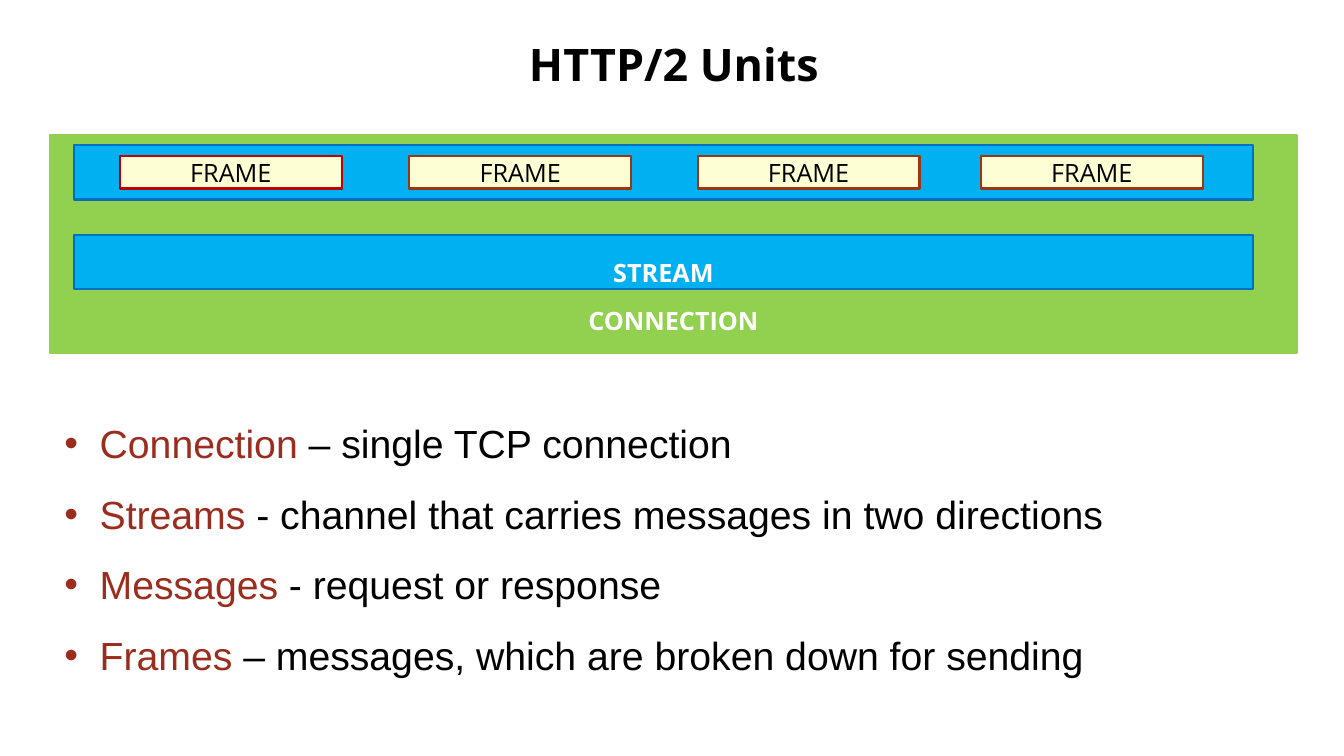
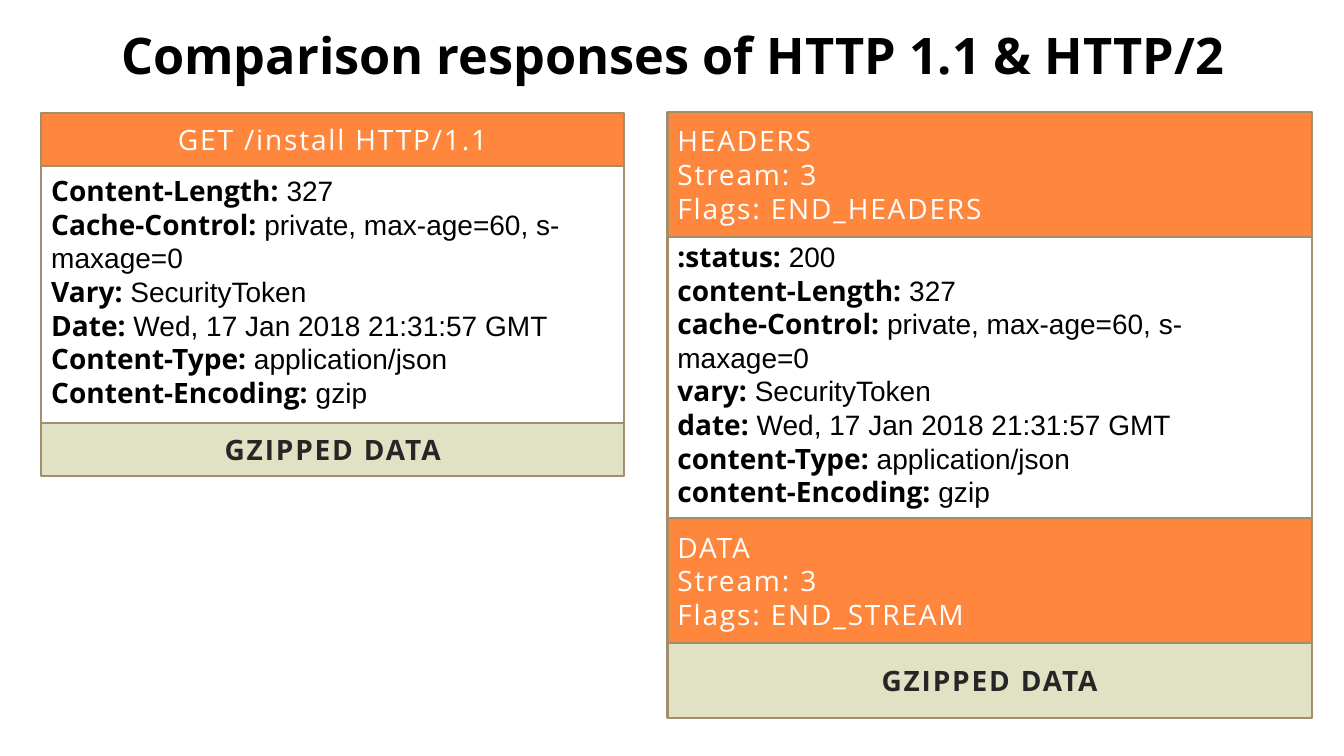
from dataclasses import dataclass

from lxml.etree import SubElement
from pptx import Presentation
from pptx.dml.color import RGBColor
from pptx.enum.shapes import MSO_SHAPE as Preset
from pptx.enum.text import MSO_ANCHOR as Anchor, MSO_AUTO_SIZE as AutoSize, PP_ALIGN as Align
from pptx.oxml.ns import qn
from pptx.util import Emu, Pt


@dataclass(frozen=True)
class Theme:
    heading_font: str = "Open Sans"
    body_font: str = "Arial"
    black: str = "000000"
    white: str = "FFFFFF"
    dark: str = "262626"
    accent: str = "9B2D1F"
    connection: str = "92D050"
    stream: str = "00B0F0"
    stream_edge: str = "0070C0"
    frame: str = "FEFED4"
    first_frame_edge: str = "C00000"
    frame_edge: str = "9C3511"
    header: str = "FF873D"
    payload: str = "E1E2C4"
    card_edge: str = "A28E6A"
    units_title: int = 32
    comparison_title: int = 36
    bullet: int = 28
    card: int = 20
    label: int = 18
    edge: float = 1.5
    leading: float = 1.2
    bullet_leading: float = 1.8
    tracking: int = 130


THEME = Theme()
EMU_PER_PX = 9144
SLIDE_SIZE = (1333, 750)
TITLE_ONLY = 5
INSETS = (10, 5, 10, 5)
FIELD_INSETS = (10, 5, 10, 12)


def px(length):
    return Emu(length * EMU_PER_PX)


def rgb(value):
    return RGBColor.from_string(value)


def style_run(run, size, color, bold=False, font=THEME.heading_font, tracking=0):
    run.font.name = font
    run.font.size = Pt(size)
    run.font.bold = bold
    run.font.color.rgb = rgb(color)
    if tracking:
        run._r.get_or_add_rPr().set("spc", str(tracking))


def set_frame(frame, anchor, insets=INSETS):
    frame.word_wrap = True
    frame.auto_size = AutoSize.NONE
    frame.vertical_anchor = anchor
    (frame.margin_left, frame.margin_top,
     frame.margin_right, frame.margin_bottom) = map(px, insets)


def set_lines(frame, lines, size, color, align=Align.CENTER, bold=False, tracking=0):
    frame.text = "\n".join(lines)
    for line in frame.paragraphs:
        line.alignment = align
        line.line_spacing = Pt(size * THEME.leading)
        for run in line.runs:
            style_run(run, size, color, bold, tracking=tracking)


def set_pairs(frame, pairs, size, leading, term_style, detail_style):
    frame.text = "\n".join(term for term, _ in pairs)
    for line, (_, detail) in zip(frame.paragraphs, pairs):
        line.alignment = Align.LEFT
        line.line_spacing = Pt(size * leading)
        style_run(line.runs[0], size, **term_style)
        detail_run = line.add_run()
        detail_run.text = detail
        style_run(detail_run, size, **detail_style)


def add_titled_slide(deck, text, box, size):
    slide = deck.slides.add_slide(deck.slide_layouts[TITLE_ONLY])
    title = slide.shapes.title
    title.left, title.top, title.width, title.height = map(px, box)
    set_frame(title.text_frame, Anchor.MIDDLE)
    set_lines(title.text_frame, [text], size, THEME.black, bold=True)
    return slide


def add_band(slide, box, fill, edge, anchor=Anchor.MIDDLE, insets=INSETS):
    band = slide.shapes.add_shape(Preset.RECTANGLE, *map(px, box))
    band.shadow.inherit = False
    band.fill.solid()
    band.fill.fore_color.rgb = rgb(fill)
    band.line.color.rgb = rgb(edge)
    band.line.width = Pt(THEME.edge)
    set_frame(band.text_frame, anchor, insets)
    return band.text_frame


def add_bullet(paragraph, indent):
    properties = paragraph._p.get_or_add_pPr()
    properties.set("marL", str(px(indent)))
    properties.set("indent", str(-px(indent)))
    color = SubElement(properties, qn("a:buClr"))
    SubElement(color, qn("a:srgbClr")).set("val", THEME.accent)
    SubElement(properties, qn("a:buFont")).set("typeface", THEME.body_font)
    SubElement(properties, qn("a:buChar")).set("char", "•")


def add_definitions(slide, box, definitions):
    frame = slide.shapes.add_textbox(*map(px, box)).text_frame
    set_frame(frame, Anchor.TOP)
    set_pairs(frame, definitions, THEME.bullet, THEME.bullet_leading,
              {"color": THEME.accent, "font": THEME.body_font},
              {"color": THEME.black, "font": THEME.body_font})
    for definition in frame.paragraphs:
        add_bullet(definition, 35)


def add_header(slide, box, lines, align=Align.LEFT):
    frame = add_band(slide, box, THEME.header, THEME.card_edge)
    set_lines(frame, lines, THEME.card, THEME.white, align, tracking=THEME.tracking)


def add_centered_header(slide, box, lines):
    add_header(slide, box, lines, Align.CENTER)


def add_fields(slide, box, fields):
    frame = add_band(slide, box, THEME.white, THEME.card_edge, insets=FIELD_INSETS)
    set_pairs(frame, fields, THEME.card, THEME.leading,
              {"color": THEME.black, "bold": True},
              {"color": THEME.black, "font": THEME.body_font})


def add_payload(slide, box, lines):
    frame = add_band(slide, box, THEME.payload, THEME.card_edge)
    set_lines(frame, lines, THEME.card, THEME.dark, bold=True, tracking=THEME.tracking)


def add_response(slide, left, top, width, sections):
    for add_section, height, content in sections:
        add_section(slide, (left, top, width, height), content)
        top += height


def build_units(deck):
    slide = add_titled_slide(deck, "HTTP/2 Units", (290, 31, 757, 64), THEME.units_title)
    connection = add_band(slide, (50, 134, 1236, 216), THEME.connection, THEME.connection,
                          Anchor.BOTTOM, (10, 5, 10, 17))
    set_lines(connection, ["CONNECTION"], THEME.label, THEME.white, bold=True)
    streams = [add_band(slide, (73, top, 1170, 54), THEME.stream, THEME.stream_edge,
                        Anchor.BOTTOM, (10, 5, 10, 2)) for top in (144, 233)]
    set_lines(streams[1], ["STREAM"], THEME.label, THEME.white, bold=True)
    for left in (119, 406, 692, 973):
        edge = THEME.first_frame_edge if left == 119 else THEME.frame_edge
        frame = add_band(slide, (left, 155, 220, 32), THEME.frame, edge, insets=(10, 0, 10, 0))
        set_lines(frame, ["FRAME"], THEME.label, THEME.black)
    add_definitions(slide, (54, 388, 1232, 293), [
        ("Connection ", "– single TCP connection"),
        ("Streams ", "- channel that carries messages in two directions"),
        ("Messages", " - request or response"),
        ("Frames ", "– messages, which are broken down for sending"),
    ])


def build_comparison(deck):
    slide = add_titled_slide(deck, "Comparison responses of HTTP 1.1 & HTTP/2",
                             (19, 18, 1297, 71), THEME.comparison_title)
    fields = [
        ("Content-Length:", " 327"),
        ("Cache-Control:", " private, max-age=60, s-maxage=0"),
        ("Vary:", " SecurityToken"),
        ("Date:", " Wed, 17 Jan 2018 21:31:57 GMT"),
        ("Content-Type:", " application/json"),
        ("Content-Encoding:", " gzip"),
    ]
    binary_fields = [(":status:", " 200")] + [
        (name[0].lower() + name[1:], value) for name, value in fields]
    payload = ["GZIPPED DATA"]
    add_response(slide, 662, 111, 639, [
        (add_header, 124, ["HEADERS", "Stream: 3", "Flags: END_HEADERS"]),
        (add_fields, 279, binary_fields),
        (add_header, 124, ["DATA", "Stream: 3", "Flags: END_STREAM"]),
        (add_payload, 74, payload),
    ])
    add_response(slide, 41, 112, 578, [
        (add_centered_header, 53, ["GET /install HTTP/1.1"]),
        (add_fields, 255, fields),
        (add_payload, 52, payload),
    ])


def main():
    deck = Presentation()
    deck.slide_width, deck.slide_height = map(px, SLIDE_SIZE)
    build_units(deck)
    build_comparison(deck)
    deck.save("out.pptx")


if __name__ == "__main__":
    main()
